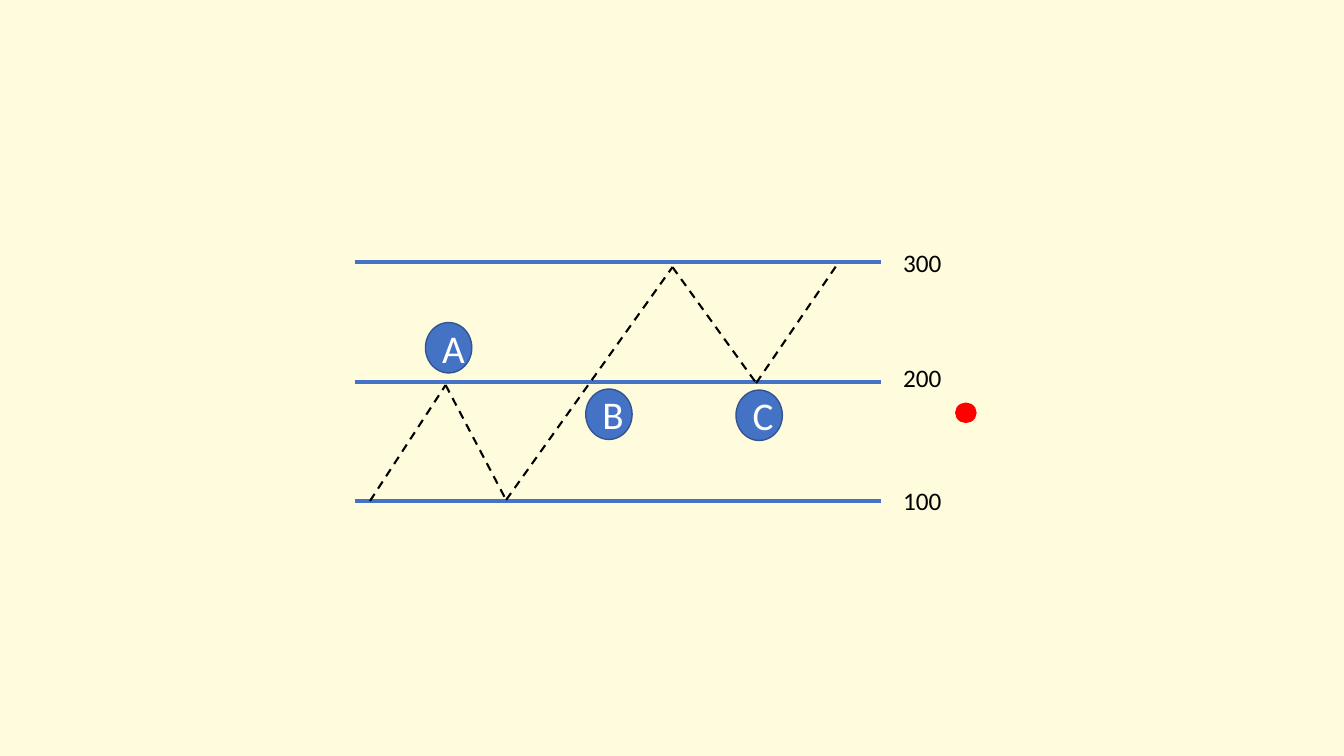
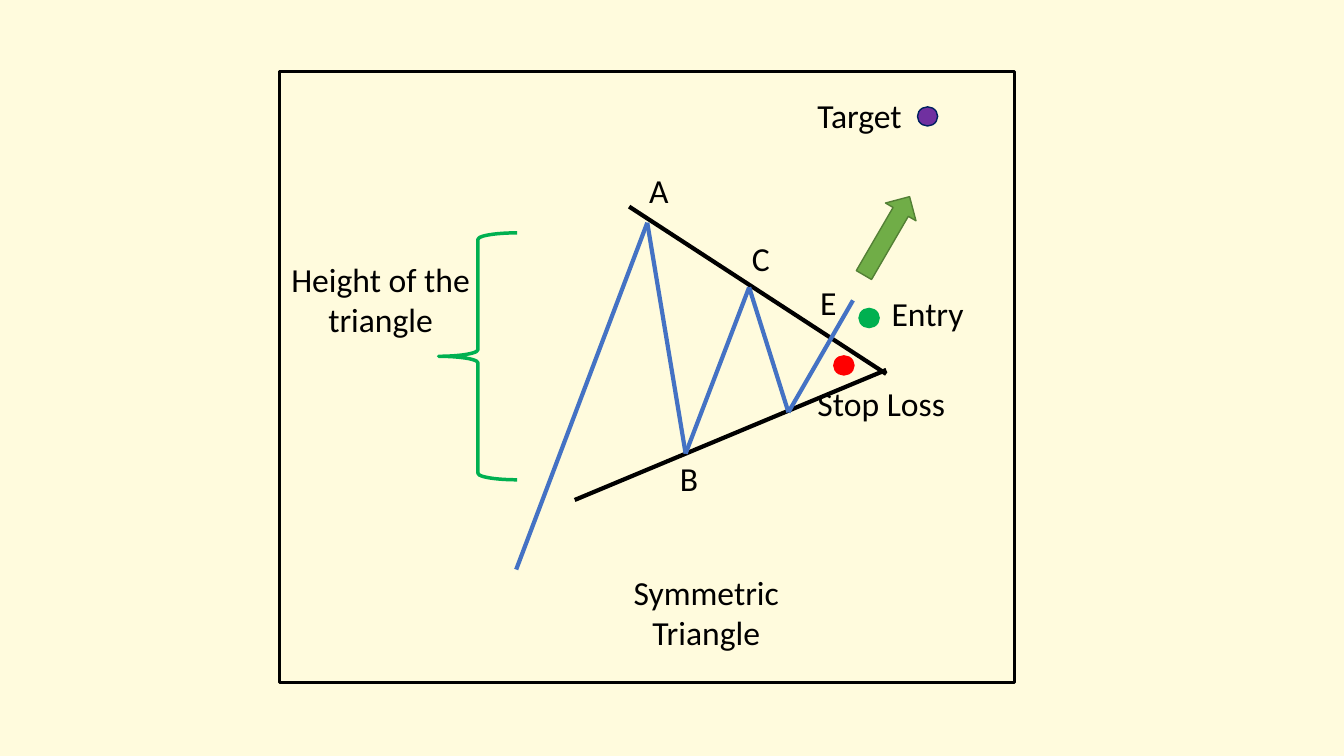
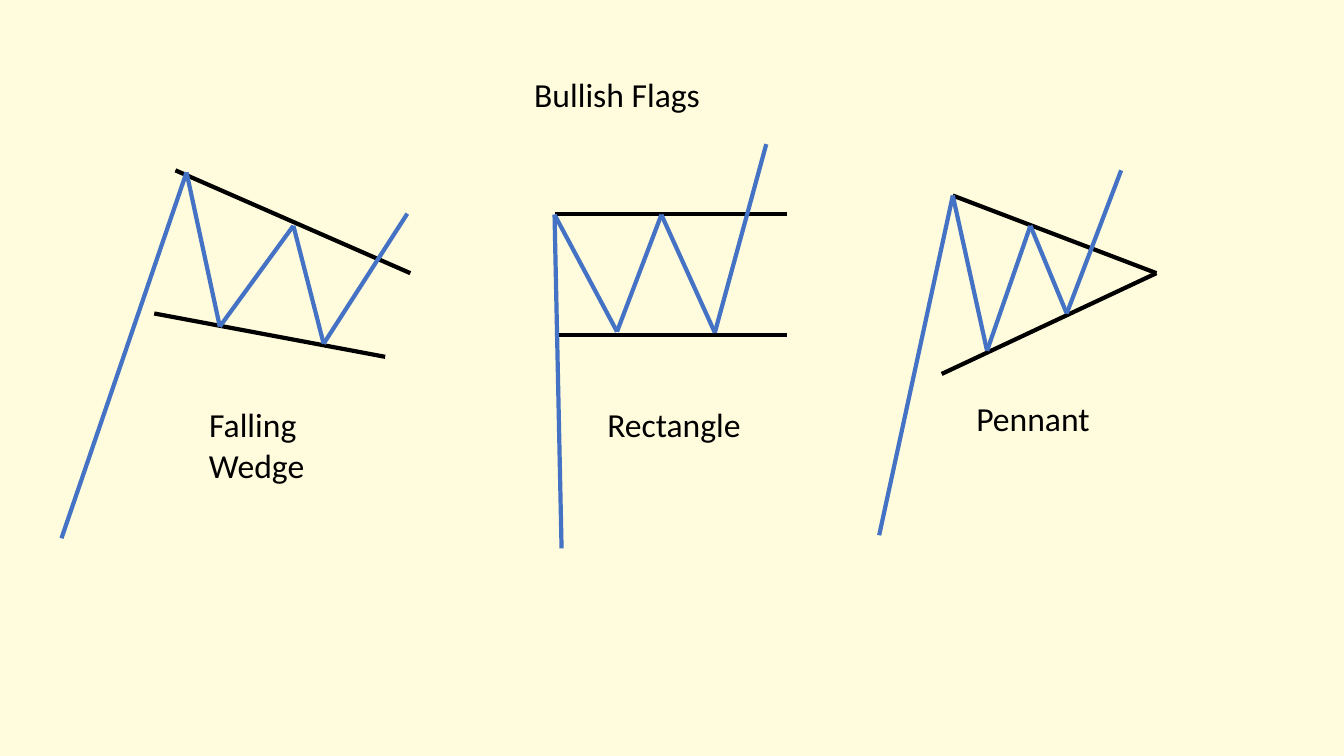
from dataclasses import dataclass
from itertools import pairwise

from lxml.etree import SubElement
from pptx import Presentation
from pptx.dml.color import RGBColor
from pptx.enum.dml import MSO_LINE
from pptx.enum.shapes import MSO_CONNECTOR, MSO_SHAPE as SHAPE
from pptx.enum.text import MSO_ANCHOR, MSO_AUTO_SIZE, PP_ALIGN as ALIGN
from pptx.oxml.ns import qn
from pptx.shapes.autoshape import Shape
from pptx.slide import Slide
from pptx.util import Inches, Pt

FONT = "Calibri"
CREAM = "FFFBDD"
BLACK = "000000"
WHITE = "FFFFFF"
BLUE = "4472C4"
DARK_BLUE = "325491"
RED = "FF0000"
GREEN = "00B050"
PURPLE = "7030A0"
NAVY = "002060"
ARROW_GREEN = "70AD47"
ARROW_EDGE = "538035"

Point = tuple[float, float]
Box = tuple[float, float, float, float]


@dataclass(frozen=True)
class Label:
    text: str
    box: Box
    size: int = 24
    align: ALIGN = ALIGN.CENTER


@dataclass(frozen=True)
class Dot:
    left: float
    top: float
    fill: str
    edge: str


@dataclass(frozen=True)
class FlagPattern:
    label: Label
    trend_lines: list[list[Point]]
    price: list[Point]


def color(value: str) -> RGBColor:
    return RGBColor.from_string(value)


def add_path(slide: Slide, points: list[Point], line_color: str,
             width: float = 3, dash: MSO_LINE | None = None) -> None:
    for start, end in pairwise(points):
        connector = slide.shapes.add_connector(
            MSO_CONNECTOR.STRAIGHT, *map(Inches, start + end))
        connector.line.color.rgb = color(line_color)
        connector.line.width = Pt(width)
        if dash is not None:
            connector.line.dash_style = dash
        SubElement(connector.element.spPr, qn("a:effectLst"))


def add_preset(slide: Slide, kind: SHAPE, box: Box, fill: str | None,
               edge: str, width: float = 1) -> Shape:
    shape = slide.shapes.add_shape(kind, *map(Inches, box))
    shape.shadow.inherit = False
    if fill is None:
        shape.fill.background()
    else:
        shape.fill.solid()
        shape.fill.fore_color.rgb = color(fill)
    shape.line.color.rgb = color(edge)
    shape.line.width = Pt(width)
    return shape


def write(shape: Shape, text: str, size: int, text_color: str,
          align: ALIGN) -> None:
    frame = shape.text_frame
    frame.word_wrap = True
    frame.text = text
    for paragraph in frame.paragraphs:
        paragraph.alignment = align
        paragraph.font.name = FONT
        paragraph.font.size = Pt(size)
        paragraph.font.color.rgb = color(text_color)


def add_label(slide: Slide, label: Label) -> None:
    shape = slide.shapes.add_textbox(*map(Inches, label.box))
    write(shape, label.text, label.size, BLACK, label.align)
    shape.text_frame.auto_size = MSO_AUTO_SIZE.SHAPE_TO_FIT_TEXT


def add_dot(slide: Slide, dot: Dot) -> None:
    add_preset(slide, SHAPE.OVAL, (dot.left, dot.top, 0.2, 0.19),
               dot.fill, dot.edge)


def add_badge(slide: Slide, letter: str, left: float, top: float) -> None:
    badge = add_preset(slide, SHAPE.OVAL, (left, top, 0.46, 0.5),
                       BLUE, DARK_BLUE)
    write(badge, letter, 28, WHITE, ALIGN.CENTER)
    badge.text_frame.vertical_anchor = MSO_ANCHOR.MIDDLE


def build_price_levels(slide: Slide) -> None:
    levels = [("300", 2.6, 2.4), ("200", 3.79, 3.55), ("100", 4.97, 4.77)]
    for text, line_top, label_top in levels:
        add_path(slide, [(3.52, line_top), (8.74, line_top)], BLUE)
        add_label(slide, Label(text, (8.86, label_top, 1.13, 0.4), 18, ALIGN.LEFT))
    swings = [(3.67, 4.97), (4.42, 3.82), (5.02, 4.96), (6.67, 2.65),
              (7.5, 3.8), (8.32, 2.6)]
    add_path(slide, swings, BLACK, 1.5, MSO_LINE.DASH)
    for letter, left, top in [("A", 4.22, 3.2), ("B", 5.81, 3.86), ("C", 7.3, 3.87)]:
        add_badge(slide, letter, left, top)
    add_dot(slide, Dot(9.48, 4, RED, RED))


def build_symmetric_triangle(slide: Slide) -> None:
    labels = [
        Label("Stop Loss", (7.97, 3.75, 1.54, 0.91)),
        Label("Entry", (8.43, 2.86, 1.54, 0.5)),
        Label("Target", (7.75, 0.89, 1.55, 0.5)),
        Label("Symmetric\nTriangle", (5.39, 5.62, 3.23, 0.95)),
        Label("Height of the triangle", (2.73, 2.52, 2.09, 0.91)),
    ]
    turning_points = [("A", 6.26, 1.64), ("B", 6.56, 4.49),
                      ("C", 7.27, 2.31), ("E", 7.94, 2.75)]
    labels += [Label(letter, (left, top, 0.55, 0.5))
               for letter, left, top in turning_points]
    add_preset(slide, SHAPE.RECTANGLE, (2.77, 0.71, 7.29, 6.06), None, BLACK, 2)
    for dot in [Dot(8.27, 3.53, RED, RED), Dot(8.52, 3.06, GREEN, GREEN),
                Dot(9.1, 1.06, PURPLE, NAVY)]:
        add_dot(slide, dot)
    arrow = add_preset(slide, SHAPE.UP_ARROW, (8.62, 1.89, 0.35, 0.9),
                       ARROW_GREEN, ARROW_EDGE)
    arrow.rotation = 30.2
    add_path(slide, [(6.24, 2.05), (8.79, 3.71)], BLACK)
    add_path(slide, [(5.7, 4.96), (8.79, 3.67)], BLACK)
    add_path(slide, [(5.12, 5.65), (6.42, 2.21), (6.8, 4.5), (7.43, 2.85),
                     (7.82, 4.09), (8.46, 2.98)], BLUE)
    add_preset(slide, SHAPE.LEFT_BRACE, (4.35, 2.31, 0.78, 2.45), None, GREEN, 2.5)
    for label in labels:
        add_label(slide, label)


def build_bullish_flags(slide: Slide) -> None:
    patterns = [
        FlagPattern(
            Label("Falling \nWedge", (1.89, 3.96, 1.31, 0.91)),
            [[(1.74, 1.69), (4.07, 2.71)], [(1.53, 3.11), (3.82, 3.54)]],
            [(0.61, 5.34), (1.85, 1.71), (2.18, 3.24), (2.91, 2.24),
             (3.21, 3.41), (4.04, 2.12)]),
        FlagPattern(
            Label("Rectangle", (5.78, 3.96, 1.81, 0.5)),
            [[(5.5, 2.12), (7.81, 2.12)], [(5.5, 3.32), (7.81, 3.32)]],
            [(5.57, 5.44), (5.5, 2.13), (6.12, 3.29), (6.56, 2.13),
             (7.09, 3.3), (7.6, 1.43)]),
        FlagPattern(
            Label("Pennant", (9.34, 3.9, 1.81, 0.5)),
            [[(9.45, 1.94), (11.47, 2.71)], [(9.34, 3.71), (11.47, 2.71)]],
            [(8.72, 5.31), (9.45, 1.94), (9.79, 3.48), (10.22, 2.24),
             (10.58, 3.11), (11.12, 1.69)]),
    ]
    add_label(slide, Label("Bullish Flags", (5.06, 0.68, 2.12, 0.5)))
    for pattern in patterns:
        for trend_line in pattern.trend_lines:
            add_path(slide, trend_line, BLACK)
        add_path(slide, pattern.price, BLUE)
        add_label(slide, pattern.label)


def main() -> None:
    presentation = Presentation()
    presentation.slide_width = Inches(13.33)
    presentation.slide_height = Inches(7.5)
    background = presentation.slide_master.background.fill
    background.solid()
    background.fore_color.rgb = color(CREAM)
    blank = presentation.slide_layouts[6]
    for build in (build_price_levels, build_symmetric_triangle, build_bullish_flags):
        build(presentation.slides.add_slide(blank))
    presentation.save("out.pptx")


if __name__ == "__main__":
    main()
